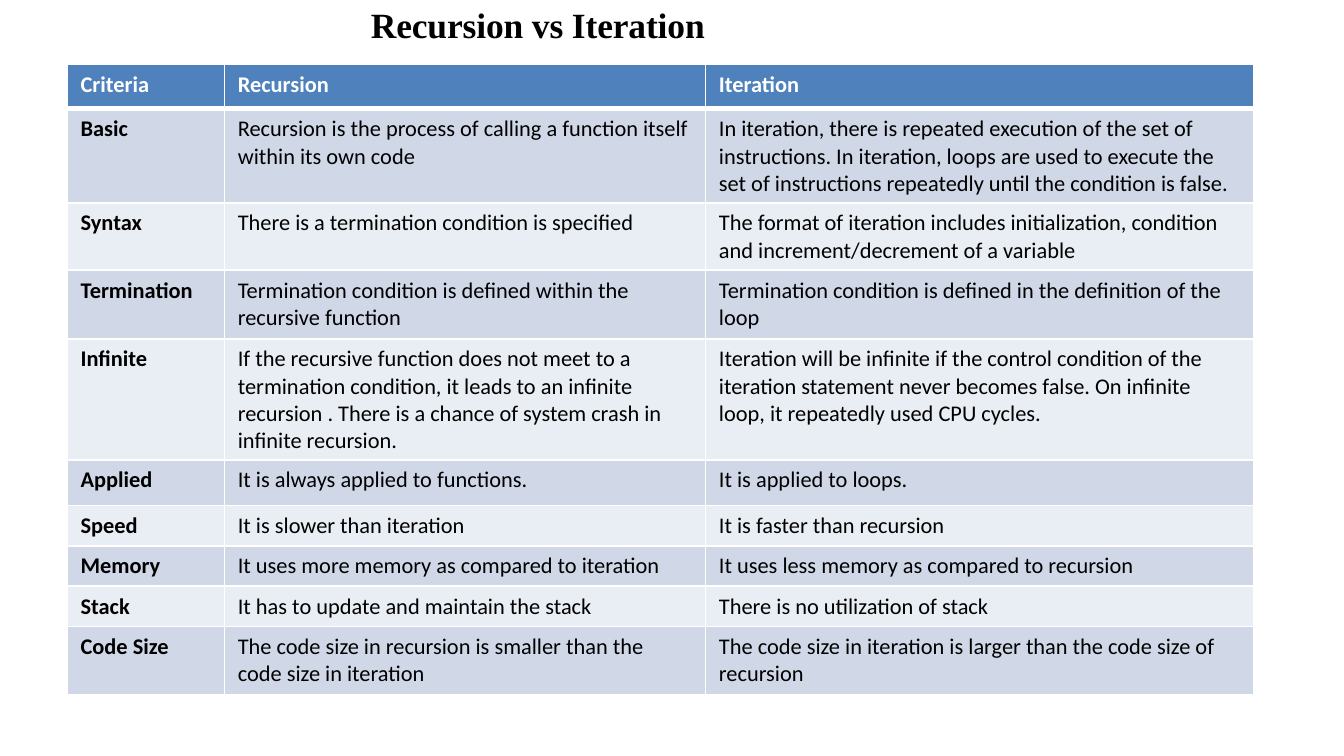
from typing import NamedTuple

from lxml import etree
from pptx import Presentation
from pptx.dml.color import RGBColor
from pptx.enum import text
from pptx.oxml import ns
from pptx.util import Inches, Pt

WHITE = RGBColor(0xFF, 0xFF, 0xFF)
BLACK = RGBColor(0, 0, 0)
HEADER_BLUE = RGBColor(0x4F, 0x81, 0xBD)
BANDS = (RGBColor(0xD0, 0xD8, 0xE8), RGBColor(0xE9, 0xED, 0xF4))

COLUMN_WIDTHS = (1.17, 3.58, 4.08)


class Row(NamedTuple):
    height: float
    criteria: str
    recursion: str
    iteration: str


ROWS = (
    Row(0.33, "Criteria", "Recursion", "Iteration"),
    Row(0.59, "Basic",
        "Recursion is the process of calling a function itself within its own code",
        "In iteration, there is repeated execution of the set of instructions. "
        "In iteration, loops are used to execute the set of instructions "
        "repeatedly until the condition is false."),
    Row(0.39, "Syntax",
        "There is a termination condition is specified",
        "The format of iteration includes initialization, condition and "
        "increment/decrement of a variable"),
    Row(0.51, "Termination",
        "Termination condition is defined within the recursive function",
        "Termination condition is defined in the definition of the loop"),
    Row(0.82, "Infinite",
        "If the recursive function does not meet to a termination condition, it "
        "leads to an infinite recursion . There is a chance of system crash in "
        "infinite recursion.",
        "Iteration will be infinite if the control condition of the iteration "
        "statement never becomes false. On infinite loop, it repeatedly used "
        "CPU cycles."),
    Row(0.34, "Applied", "It is always applied to functions.",
        "It is applied to loops."),
    Row(0.25, "Speed", "It is slower than iteration",
        "It is faster than recursion"),
    Row(0.28, "Memory", "It uses more memory as compared to iteration",
        "It uses less memory as compared to recursion"),
    Row(0.23, "Stack", "It has to update and maintain the stack",
        "There is no utilization of stack"),
    Row(0.51, "Code Size",
        "The code size in recursion is smaller than the code size in iteration",
        "The code size in iteration is larger than the code size of recursion"),
)


def style_run(r, font: str, size: float, color: RGBColor, bold: bool) -> None:
    r.font.name = font
    r.font.size = Pt(size)
    r.font.color.rgb = color
    r.font.bold = bold


def add_title(s, title: str) -> None:
    box = s.shapes.add_textbox(Inches(2.75), Inches(0.01), Inches(2.53), Inches(0.34))
    tf = box.text_frame
    tf.word_wrap = True
    tf.auto_size = text.MSO_AUTO_SIZE.SHAPE_TO_FIT_TEXT
    tf.margin_left = tf.margin_right = tf.margin_bottom = 0
    tf.margin_top = Inches(0.01)
    p = tf.paragraphs[0]
    p.text = title
    p.space_before = Pt(0.9)
    p._p.get_or_add_pPr().set("marL", str(Inches(0.01)))
    r = p.runs[0]
    style_run(r, "Times New Roman", 19, BLACK, True)
    r.font._element.set("spc", "-5")


def set_borders(cell, top: float, bottom: float) -> None:
    """Give a cell white borders, with widths in points; the sides are 1 pt."""
    tc_pr = cell._tc.get_or_add_tcPr()
    for side, width in (("L", 1), ("R", 1), ("T", top), ("B", bottom)):
        line = etree.SubElement(tc_pr, ns.qn(f"a:ln{side}"), w=str(Pt(width)))
        fill = etree.SubElement(line, ns.qn("a:solidFill"))
        etree.SubElement(fill, ns.qn("a:srgbClr"), val=str(WHITE))


def add_comparison(s, rows: tuple[Row, ...]) -> None:
    frame = s.shapes.add_table(
        len(rows), len(COLUMN_WIDTHS), Inches(0.5), Inches(0.48),
        Inches(sum(COLUMN_WIDTHS)), Inches(sum(row.height for row in rows)))
    table = frame.table
    table.horz_banding = False
    for column, width in zip(table.columns, COLUMN_WIDTHS):
        column.width = Inches(width)
    for i, row in enumerate(rows):
        table.rows[i].height = Inches(row.height)
        header = i == 0
        for j, words in enumerate(row[1:]):
            cell = table.cell(i, j)
            set_borders(cell, top=3 if i == 1 else 1, bottom=3 if header else 1)
            cell.fill.solid()
            cell.fill.fore_color.rgb = HEADER_BLUE if header else BANDS[(i - 1) % 2]
            cell.text_frame.text = words
            style_run(cell.text_frame.paragraphs[0].runs[0], "Calibri", 12,
                      WHITE if header else BLACK, header or j == 0)


def main() -> None:
    prs = Presentation()
    prs.slide_width = Inches(10)
    prs.slide_height = prs.slide_width * 9 // 16
    s = prs.slides.add_slide(prs.slide_layouts[6])
    add_title(s, "Recursion vs Iteration")
    add_comparison(s, ROWS)
    prs.save("out.pptx")


if __name__ == "__main__":
    main()
